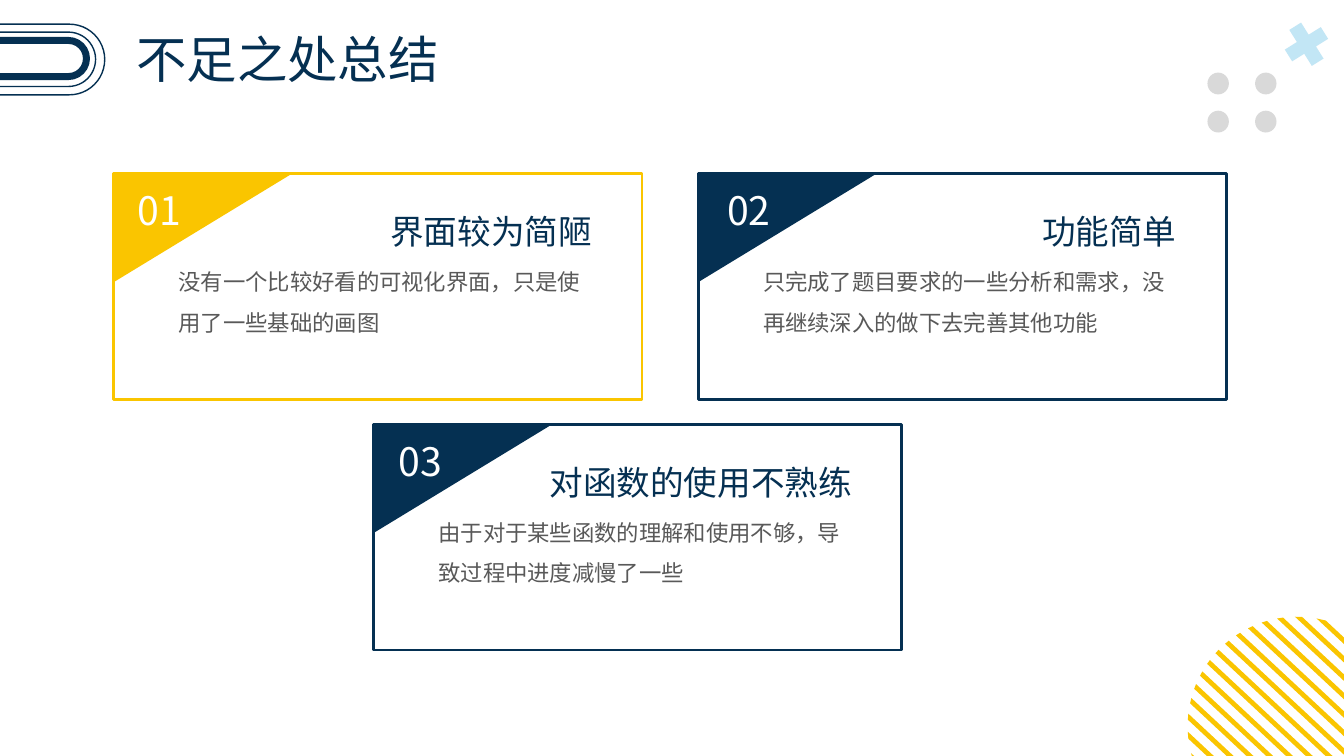
from math import cos, radians, sin, sqrt

from lxml.etree import SubElement
from pptx import Presentation
from pptx.dml.color import RGBColor
from pptx.enum.shapes import MSO_SHAPE
from pptx.enum.text import MSO_ANCHOR, MSO_AUTO_SIZE, PP_ALIGN
from pptx.oxml.ns import qn
from pptx.util import Cm, Pt

FONT = "Noto Sans CJK SC"
NAVY = RGBColor(0x05, 0x30, 0x52)
YELLOW = RGBColor(0xFA, 0xC5, 0x00)
SKY = RGBColor(0xC2, 0xE6, 0xF5)
LIGHT_GRAY = RGBColor(0xD9, 0xD9, 0xD9)
DARK_GRAY = RGBColor(0x59, 0x59, 0x59)
WHITE = RGBColor(0xFF, 0xFF, 0xFF)

HEADING = {"size": Pt(24), "color": NAVY, "paragraph": {"alignment": PP_ALIGN.RIGHT}}
BODY = {"size": Pt(16), "color": DARK_GRAY, "paragraph": {"line_spacing": 1.5}}
NUMBER = {"size": Pt(28), "color": WHITE, "paragraph": {"alignment": PP_ALIGN.CENTER}}
TITLE = {"size": Pt(36), "color": NAVY, "paragraph": {"alignment": PP_ALIGN.LEFT}}

CARDS = [
    (2.87, 4.37, YELLOW, "01", 0.15, "界面较为简陋",
     "没有一个比较好看的可视化界面，只是使用了一些基础的画图"),
    (17.6, 4.37, NAVY, "02", 0.28, "功能简单",
     "只完成了题目要求的一些分析和需求，没再继续深入的做下去完善其他功能"),
    (9.42, 10.69, NAVY, "03", 0.18, "对函数的使用不熟练",
     "由于对于某些函数的理解和使用不够，导致过程中进度减慢了一些"),
]
PILLS = [
    (-1.27, 1.02, 3.45, 0.91, 5),
    (-1.55, 0.81, 3.96, 1.37, 1),
    (-1.75, 0.61, 4.39, 1.78, 1),
]


def paint(shape, fill=None, line=None, line_width=1):
    shape.shadow.inherit = False
    if fill is None:
        shape.fill.background()
    else:
        shape.fill.solid()
        shape.fill.fore_color.rgb = fill
    if line is None:
        shape.line.fill.background()
    else:
        shape.line.color.rgb = line
        shape.line.width = Pt(line_width)


def add_preset(shapes, kind, box, **colours):
    shape = shapes.add_shape(kind, *map(Cm, box))
    paint(shape, **colours)
    return shape


def write(shape, text, style):
    frame = shape.text_frame
    settings = {"word_wrap": True, "auto_size": MSO_AUTO_SIZE.NONE,
                "vertical_anchor": MSO_ANCHOR.TOP}
    for name, value in settings.items():
        setattr(frame, name, value)
    paragraph = frame.paragraphs[0]
    for name, value in style["paragraph"].items():
        setattr(paragraph, name, value)
    run = paragraph.add_run()
    run.text = text
    run.font.color.rgb = style["color"]
    for name, value in {"size": style["size"], "name": FONT}.items():
        setattr(run.font, name, value)
    SubElement(run._r.get_or_add_rPr(), qn("a:ea"), typeface=FONT)


def add_text(shapes, box, text, style):
    write(shapes.add_textbox(*map(Cm, box)), text, style)


def add_striped_disc(slide):
    center_x, center_y, radius = 32.69, 18.3, 2.76
    step, half_width, count = 0.34, 0.06, 15
    along_x, along_y = cos(radians(43)), sin(radians(43))
    shapes = slide.shapes.add_group_shape().shapes

    def rim_point(offset, side):
        reach = side * sqrt(radius**2 - offset**2)
        return (Cm(center_x + reach * along_x + offset * along_y),
                Cm(center_y + reach * along_y - offset * along_x))

    for index in range(count):
        middle = (index - count // 2) * step
        lower, upper = middle - half_width, middle + half_width
        builder = shapes.build_freeform(*rim_point(lower, -1))
        builder.add_line_segments(
            [rim_point(lower, 1), rim_point(upper, 1), rim_point(upper, -1)])
        paint(builder.convert_to_shape(), fill=YELLOW)


def add_corner_marks(slide):
    for row in range(2):
        for column in range(2):
            box = (30.43 + 1.2 * column, 1.83 + 0.96 * row, 0.54, 0.55)
            add_preset(slide.shapes, MSO_SHAPE.OVAL, box, fill=LIGHT_GRAY)
    cross = add_preset(slide.shapes, MSO_SHAPE.CROSS, (32.39, 0.58, 1.07, 1.07), fill=SKY)
    cross.adjustments[0] = 0.337
    cross.rotation = 328


def add_title(slide):
    for *box, line_width in PILLS:
        pill = add_preset(slide.shapes, MSO_SHAPE.ROUNDED_RECTANGLE, box,
                          line=NAVY, line_width=line_width)
        pill.adjustments[0] = 0.5
    title = slide.shapes.title
    geometry = {"left": 3.18, "top": 0.58, "width": 8.66, "height": 1.8}
    for name, value in geometry.items():
        setattr(title, name, Cm(value))
    write(title, "不足之处总结", TITLE)


def add_card(slide, left, top, colour, number, number_indent, heading, body):
    shapes = slide.shapes.add_group_shape().shapes
    add_preset(shapes, MSO_SHAPE.RECTANGLE, (left, top, 13.31, 5.69),
               line=colour, line_width=2)
    corner_width, corner_height = 4.47, 2.72
    shift = (corner_width - corner_height) / 2
    corner = add_preset(
        shapes, MSO_SHAPE.RIGHT_TRIANGLE,
        (left + 0.03 + shift, top - shift, corner_height, corner_width), fill=colour)
    corner.rotation = 90
    add_text(shapes, (left + 3.64, top + 0.83, 8.66, 1.27), heading, HEADING)
    add_text(shapes, (left + 1.38, top + 1.93, 10.9, 2.95), body, BODY)
    add_text(shapes, (left + number_indent, top + 0.2, 1.98, 1.45), number, NUMBER)


def main():
    presentation = Presentation()
    presentation.slide_width = Cm(33.87)
    presentation.slide_height = Cm(19.05)
    slide = presentation.slides.add_slide(presentation.slide_layouts.get_by_name("Title Only"))
    add_striped_disc(slide)
    add_corner_marks(slide)
    add_title(slide)
    for card in CARDS:
        add_card(slide, *card)
    presentation.save("out.pptx")


if __name__ == "__main__":
    main()
